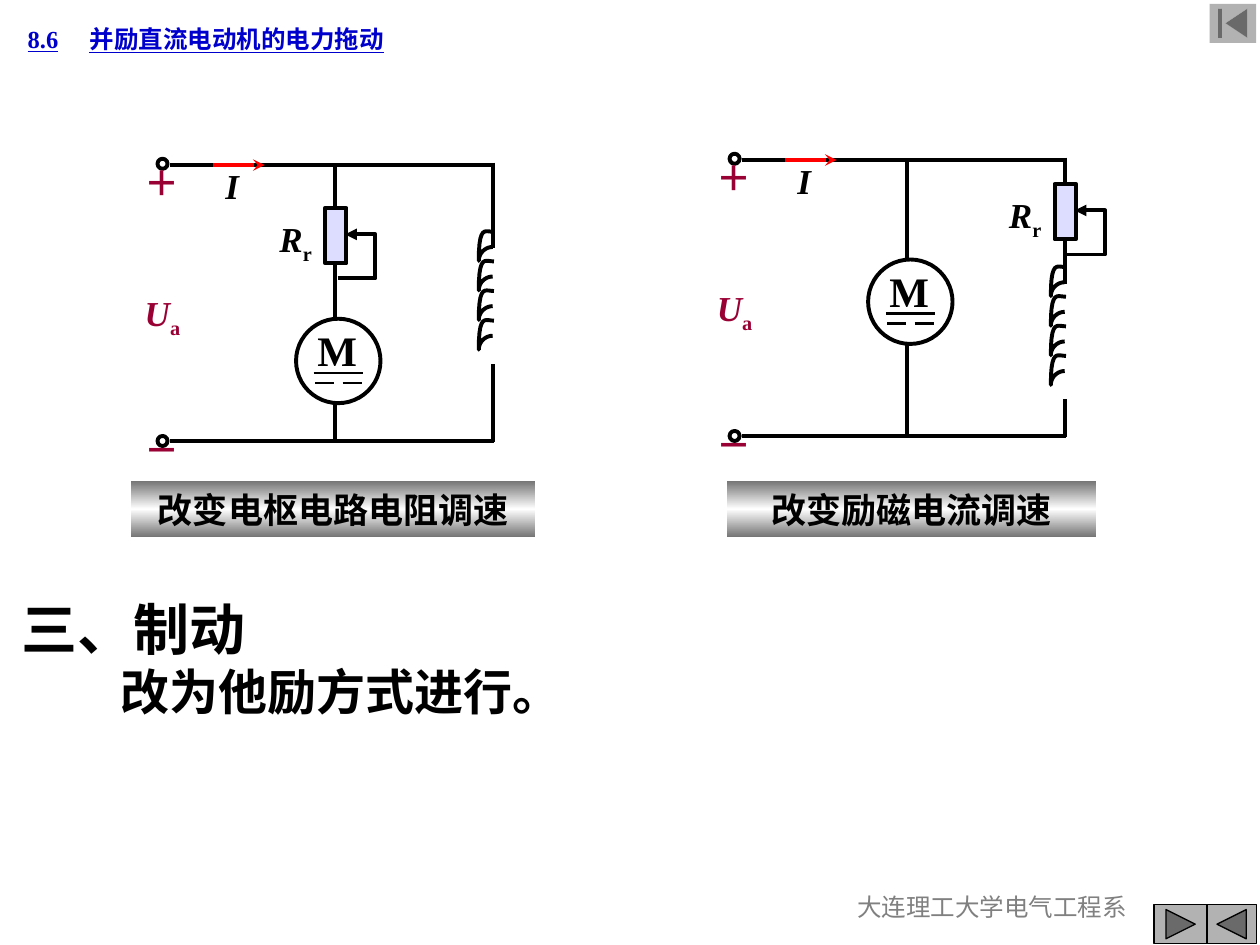
from copy import deepcopy

from lxml import etree
from pptx import Presentation
from pptx.dml.color import RGBColor
from pptx.enum import shapes, text
from pptx.oxml.ns import qn
from pptx.util import Inches, Pt

rgb = RGBColor.from_string
BLACK, WINE, GREY = "000000", "990033", "B2B2B2"
SHAPE = shapes.MSO_SHAPE
ALIGN = text.PP_ALIGN


def write(sp, paras, size, color=BLACK, align=ALIGN.LEFT, before=0, wrap=False,
          anchor=text.MSO_ANCHOR.TOP, **fmt):
    """Fill a shape; each paragraph is a list of (text, font format) runs."""
    tf = sp.text_frame
    tf.word_wrap, tf.vertical_anchor = wrap, anchor
    tf.auto_size = text.MSO_AUTO_SIZE.NONE
    for i, runs in enumerate(paras):
        p = tf.add_paragraph() if i else tf.paragraphs[0]
        p.alignment, p.space_before = align, Pt(before if i else 0)
        for words, extra in runs:
            r = p.add_run()
            r.text = words
            r.font.color.rgb = rgb(color)
            values = {"name": "Times New Roman", "size": Pt(size), "bold": True, **fmt, **extra}
            baseline = values.pop("baseline", None)
            for key, value in values.items():
                setattr(r.font, key, value)
            if baseline:
                r._r.get_or_add_rPr().set("baseline", baseline)


def stroke(sp, color=BLACK, width=2.25, tail=None):
    """Set line colour and width, an optional end arrowhead, and no shadow."""
    sp.line.color.rgb, sp.line.width = rgb(color), Pt(width)
    spPr = sp._element.spPr
    if tail:
        etree.SubElement(spPr.find(qn("a:ln")), qn("a:tailEnd"), type=tail)
    if spPr.find(qn("a:effectLst")) is None:
        etree.SubElement(spPr, qn("a:effectLst"))


prs = Presentation()
prs.slide_width, prs.slide_height = Inches(10), Inches(7.5)
s = prs.slides.add_slide(prs.slide_layouts[1])

# Title, body and department
title, body = s.placeholders
for sp, box in ((title, (0.12, 0.14, 3.19, 0.34)), (body, (0.07, 4.67, 6.19, 1.1))):
    sp.left, sp.top, sp.width, sp.height = map(Inches, box)

tabs = etree.SubElement(title.text_frame.paragraphs[0]._p.get_or_add_pPr(), qn("a:tabLst"))
etree.SubElement(tabs, qn("a:tab"), pos=str(Inches(0.49)), algn="l")
write(title, [[("8.6\t并励直流电动机的电力拖动", {})]], 14, "0000CC",
      anchor=text.MSO_ANCHOR.MIDDLE, underline=True)

write(body, [[("三、制动", {})], [("改为他励方式进行。", {"size": Pt(28)})]], 32, wrap=True)
for p, indent in zip(body.text_frame.paragraphs, (0, 0.79)):
    pPr = p._p.get_or_add_pPr()
    pPr.set("marL", str(Inches(indent)))
    pPr.set("indent", "0")
    etree.SubElement(pPr, qn("a:buNone"))

department = s.shapes.add_textbox(Inches(6.29), Inches(7.03), Inches(3.17), Inches(0.5))
write(department, [[("大连理工大学电气工程系", {})]], 14, "808080", ALIGN.CENTER,
      wrap=True, bold=False)

# Navigation buttons
for kind, x, y, w, outlined in (
    (SHAPE.ACTION_BUTTON_FORWARD_OR_NEXT, 9.16, 7.18, 0.42, True),
    (SHAPE.ACTION_BUTTON_BACK_OR_PREVIOUS, 9.58, 7.18, 0.39, True),
    (SHAPE.ACTION_BUTTON_BEGINNING, 9.6, 0.03, 0.37, False),
):
    sp = s.shapes.add_shape(kind, Inches(x), Inches(y), Inches(w), Inches(0.31))
    sp.shadow.inherit = False
    sp.fill.solid()
    sp.fill.fore_color.rgb = rgb(GREY)
    if outlined:
        stroke(sp, width=0.75)
    else:
        sp.line.fill.background()

# Captions with a metallic gradient
for words, x, w in (("改变电枢电路电阻调速", 1.04, 3.21), ("改变励磁电流调速", 5.77, 2.93)):
    sp = s.shapes.add_shape(SHAPE.RECTANGLE, Inches(x), Inches(3.82), Inches(w), Inches(0.44))
    sp.shadow.inherit = False
    sp.line.fill.background()
    sp.fill.gradient()
    sp.fill.gradient_angle = 90
    stops = sp._element.spPr.find(".//" + qn("a:gsLst"))
    stops.insert(1, deepcopy(stops[0]))
    for stop, position, color in zip(sp.fill.gradient_stops, (0, 0.5, 1),
                                     ("767676", "FFFFFF", "767676")):
        stop.position, stop.color.rgb = position, rgb(color)
    write(sp, [[(words, {})]], 20, align=ALIGN.CENTER, wrap=True,
          anchor=text.MSO_ANCHOR.MIDDLE)

# One turn of the field winding: two Bezier arcs, relative to its first point
ARCS = (((0, 0), (-0.06, 0), (-0.11, 0.05), (-0.11, 0.11)),
        ((-0.11, 0.11), (-0.11, -0.18), (-0.06, -0.12), (0.01, -0.12)))
turn = []
for arc in ARCS:
    for t in (n / 10 for n in range(11)):
        weights = ((1 - t) ** 3, 3 * t * (1 - t) ** 2, 3 * t * t * (1 - t), t ** 3)
        turn.append([sum(k * pt[axis] for k, pt in zip(weights, arc)) for axis in (0, 1)])

# Circuits: dx, dy move the whole; field, motor and rheostat shift within it
LEFT, ARMATURE, FIELD, TOP, BOTTOM = 1.35, 2.66, 3.91, 1.31, 3.5
for dx, dy, field, motor, (rx, ry) in (
    (0, 0, 0, 0, (0, 0)),
    (4.54, -0.04, 0.32, -0.43, (1.25, -0.15)),
):
    g = s.shapes.add_group_shape().shapes

    lines = [
        (LEFT, TOP, ARMATURE, TOP), (ARMATURE, TOP, FIELD + 0.01, TOP),
        (LEFT, BOTTOM, ARMATURE, BOTTOM), (ARMATURE, BOTTOM, FIELD + 0.01, BOTTOM),
        (ARMATURE, TOP - 0.01, ARMATURE, BOTTOM),
        (FIELD, TOP - 0.02, FIELD, 1.97 + field),
        (FIELD, 2.89 + field, FIELD, BOTTOM + 0.01),
        (1.69, TOP, 2.1, TOP, "FF0000", 2.25, "stealth"),
    ]
    motor_marks = [
        (x1, y + motor, x2, y + motor, BLACK, 1.5)
        for x1, x2, y in ((2.49, 2.88, 2.96), (2.72, 2.87, 3.04), (2.5, 2.65, 3.04))
    ]
    outlines = [
        (SHAPE.OVAL, 1.25, 1.26, 0.08, 0.08, "FFFFFF"),
        (SHAPE.OVAL, 1.25, 3.46, 0.08, 0.08, "FFFFFF"),
        (SHAPE.OVAL, 2.35, 2.53 + motor, 0.67, 0.67, "FFFFFF"),
        (SHAPE.RECTANGLE, 2.58 + rx, 1.65 + ry, 0.17, 0.44, "DDDDFF"),
    ]
    for item in lines + outlines + motor_marks:
        if item in outlines:
            kind, x, y, w, h, fill = item
            sp = g.add_shape(kind, Inches(x + dx), Inches(y + dy), Inches(w), Inches(h))
            sp.fill.solid()
            sp.fill.fore_color.rgb = rgb(fill)
            stroke(sp)
        else:
            x1, y1, x2, y2, *style = item
            sp = g.add_connector(shapes.MSO_CONNECTOR.STRAIGHT, Inches(x1 + dx),
                                 Inches(y1 + dy), Inches(x2 + dx), Inches(y2 + dy))
            stroke(sp, *style)

    # Winding turns and the rheostat wiper
    curves = [([(FIELD + x, 1.96 + field + 0.235 * n + y) for x, y in turn], None)
              for n in range(4)]
    wiper = ((2.68, 2.21), (2.98, 2.21), (2.98, 1.86), (2.74, 1.86))
    curves.append(([(x + rx, y + ry) for x, y in wiper], "triangle"))
    for pts, tail in curves:
        pts = [(Inches(x + dx), Inches(y + dy)) for x, y in pts]
        builder = g.build_freeform(*pts[0])
        builder.add_line_segments(pts[1:], close=False)
        sp = builder.convert_to_shape()
        sp.fill.background()
        stroke(sp, tail=tail)

    italic, sub = {"italic": True}, {"baseline": "-25000"}
    for x, y, w, h, paras, size, color in (
        (1.05, 1.23, 0.48, 2.63, [[("＋", {})], [("U", italic), ("a", sub)], [("－", {})]],
         20, WINE),
        (1.69, 1.26, 0.38, 0.44, [[("I", italic)]], 20, BLACK),
        (2.42, 2.53 + motor, 0.46, 0.5, [[("M", {})]], 24, BLACK),
        (2.12 + rx, 1.68 + ry, 0.46, 0.48, [[("R", italic), ("r", sub)]], 20, BLACK),
    ):
        sp = g.add_textbox(Inches(x + dx), Inches(y + dy), Inches(w), Inches(h))
        write(sp, paras, size, color, before=50.6)

prs.save("out.pptx")
